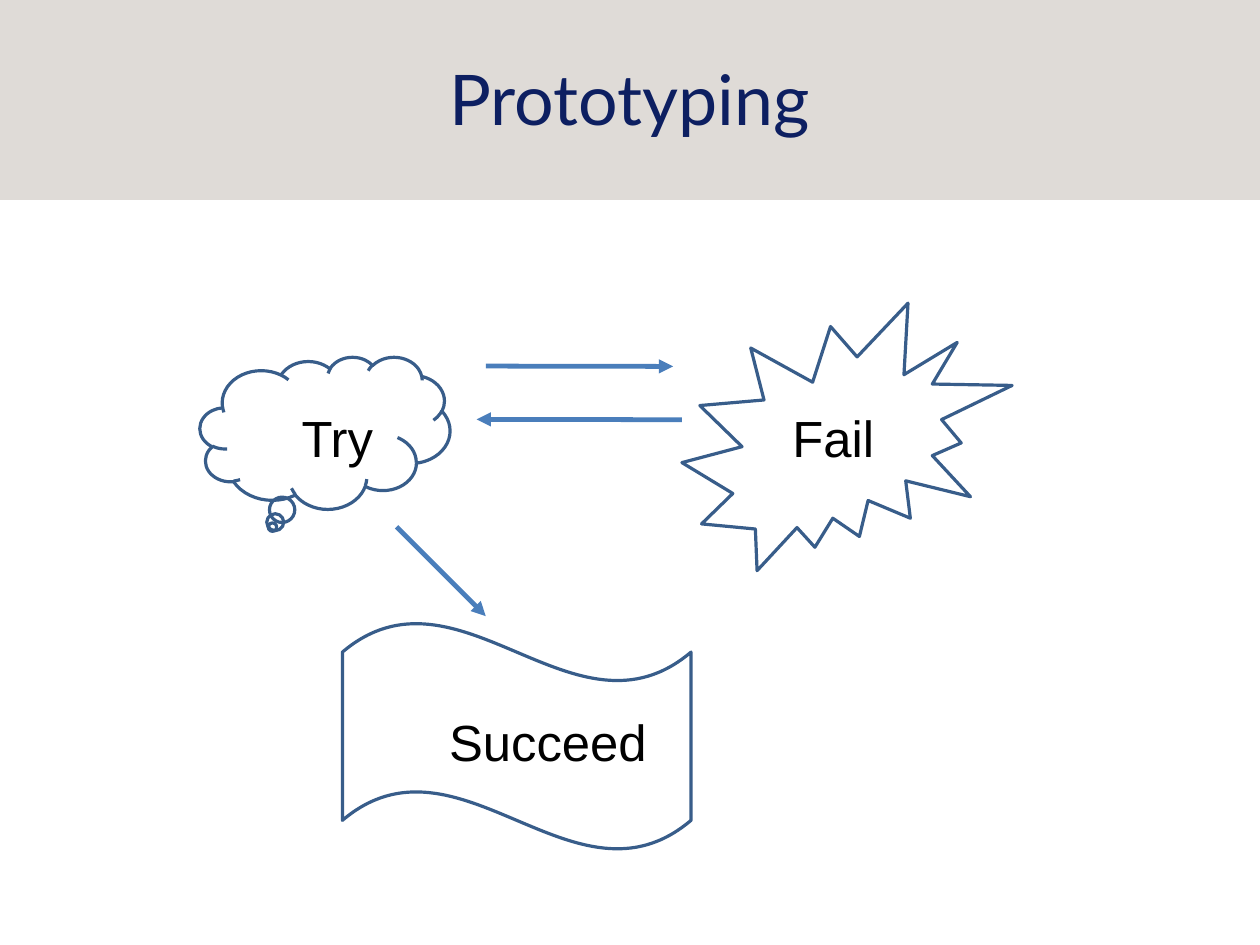
from pptx import Presentation
from pptx.dml.color import RGBColor
from pptx.enum.shapes import MSO_CONNECTOR, MSO_SHAPE
from pptx.enum.text import MSO_ANCHOR, MSO_AUTO_SIZE, PP_ALIGN
from pptx.oxml.ns import qn
from pptx.util import Pt
from lxml import etree

RECT = MSO_SHAPE.RECTANGLE
CLOUD = MSO_SHAPE.CLOUD_CALLOUT
BURST = MSO_SHAPE.EXPLOSION2
WAVE = MSO_SHAPE.WAVE
LINE = MSO_CONNECTOR.STRAIGHT
MIDDLE = MSO_ANCHOR.MIDDLE
CENTER = PP_ALIGN.CENTER
GROW = MSO_AUTO_SIZE.SHAPE_TO_FIT_TEXT

WIDTH = 793.7
HEIGHT = 595.28

COLORS = {
    "band": "DFDBD7",
    "title": "0D1F61",
    "text": "000000",
    "edge": "385D8A",
    "arrow": "4A7EBB",
}


def color(name):
    return RGBColor.from_string(COLORS[name])


def add_run(frame, text, font, size, tint):
    run = frame.paragraphs[0].add_run()
    run.text = text
    run.font.name = font
    run.font.size = Pt(size)
    run.font.color.rgb = color(tint)


def add_band(slide, height):
    band = slide.shapes.add_shape(RECT, 0, 0, Pt(WIDTH), Pt(height))
    band.shadow.inherit = False
    band.fill.solid()
    band.fill.fore_color.rgb = color("band")
    band.line.fill.background()


def add_title(slide, text):
    box = slide.shapes.add_textbox(Pt(39.6), 0, Pt(714.24), Pt(123.12))
    frame = box.text_frame
    frame.word_wrap = True
    frame.vertical_anchor = MIDDLE
    frame.margin_left = frame.margin_right = 0
    frame.margin_top = frame.margin_bottom = 0
    frame.paragraphs[0].alignment = CENTER
    add_run(frame, text, "Lato", 44, "title")


def add_label(slide, text, left, top, width):
    box = slide.shapes.add_textbox(Pt(left), Pt(top), Pt(width), Pt(39.6))
    frame = box.text_frame
    frame.word_wrap = False
    frame.auto_size = GROW
    add_run(frame, text, "Arial", 32, "text")


def add_outline(slide, kind, left, top, width, height, adjusts=()):
    shape = slide.shapes.add_shape(
        kind, Pt(left), Pt(top), Pt(width), Pt(height))
    shape.shadow.inherit = False
    shape.fill.background()
    shape.line.color.rgb = color("edge")
    shape.line.width = Pt(2)
    for index, value in enumerate(adjusts):
        shape.adjustments[index] = value


def add_arrow(slide, x1, y1, x2, y2):
    arrow = slide.shapes.add_connector(LINE, Pt(x1), Pt(y1), Pt(x2), Pt(y2))
    arrow.line.color.rgb = color("arrow")
    arrow.line.width = Pt(3)
    props = arrow.element.spPr
    tail = etree.SubElement(props.find(qn("a:ln")), qn("a:tailEnd"))
    tail.set("type", "triangle")
    etree.SubElement(props, qn("a:effectLst"))


def main():
    deck = Presentation()
    deck.slide_width = Pt(WIDTH)
    deck.slide_height = Pt(HEIGHT)
    slide = deck.slides.add_slide(deck.slide_layouts[6])

    add_band(slide, 126)
    add_title(slide, "Prototyping")

    add_label(slide, "Try", 182.9, 252.8, 60.5)
    add_label(slide, "Fail", 492, 252.8, 67)
    add_label(slide, "Succeed", 275.8, 444.2, 139)

    add_outline(slide, CLOUD, 126, 224.8, 157.5, 95.8, (-0.21, 0.62))
    add_outline(slide, BURST, 429.6, 191, 208, 168.5)
    add_outline(slide, WAVE, 215.7, 392.2, 219.6, 143.2, (0.13,))

    add_arrow(slide, 306, 230.6, 424, 230.8)
    add_arrow(slide, 429.6, 264.4, 300.3, 264.2)
    add_arrow(slide, 249.8, 331.9, 306, 388.1)

    deck.save("out.pptx")


if __name__ == "__main__":
    main()
